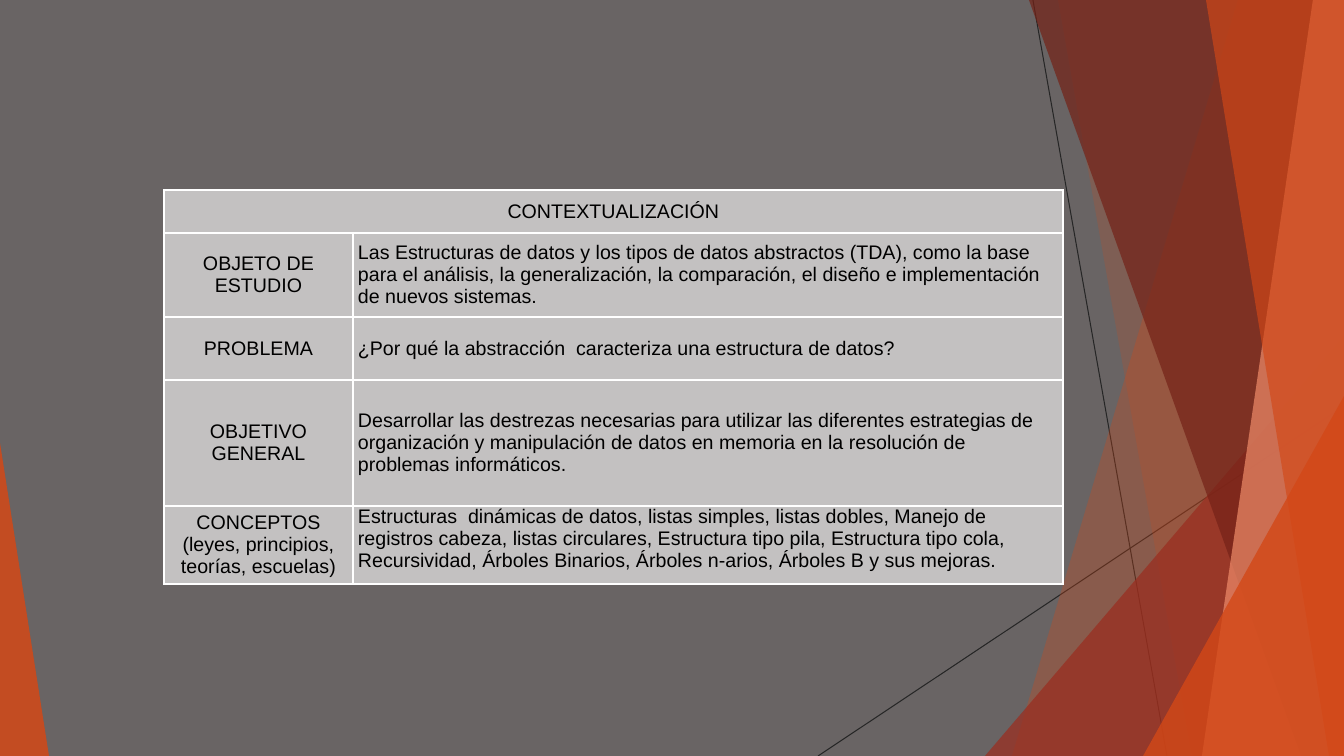
from lxml import etree
from pptx import Presentation
from pptx.dml.color import RGBColor
from pptx.enum.shapes import MSO_CONNECTOR as CONN, MSO_SHAPE as SHAPE
from pptx.enum.text import MSO_ANCHOR as ANCHOR, PP_ALIGN as ALIGN
from pptx.oxml.ns import qn
from pptx.util import Pt

W, H = 1344, 756
ORANGE, RED, DARK_RED, SALMON = "D34817", "9B2D1F", "742217", "EF8C6A"
TITLE = "CONTEXTUALIZACIÓN"
COLS = [189, 710]
ROWS = [43, 84, 63, 126, 78]
TOPICS = [
    ("OBJETO DE ESTUDIO",
     "Las Estructuras de datos y los tipos de datos abstractos (TDA), como la "
     "base para el análisis, la generalización, la comparación, el diseño e "
     "implementación de nuevos sistemas."),
    ("PROBLEMA",
     "¿Por qué la abstracción  caracteriza una estructura de datos?"),
    ("OBJETIVO GENERAL",
     "Desarrollar las destrezas necesarias para utilizar las diferentes "
     "estrategias de organización y manipulación de datos en memoria en la "
     "resolución de problemas informáticos."),
    ("CONCEPTOS (leyes, principios, teorías, escuelas)",
     "Estructuras  dinámicas de datos, listas simples, listas dobles, Manejo de "
     "registros cabeza, listas circulares, Estructura tipo pila, Estructura tipo "
     "cola, Recursividad, Árboles Binarios, Árboles n-arios, Árboles B y sus "
     "mejoras."),
]


def px(n):
    return round(n * 914400 / 100.8)


def rgb(color):
    return RGBColor.from_string(color)


def paint(sp, color, opacity):
    """Give a shape a see-through fill, without line or shadow."""
    sp.shadow.inherit = False
    sp.line.fill.background()
    sp.fill.solid()
    sp.fill.fore_color.rgb = rgb(color)
    clr = sp.fill._xPr.find(qn("a:solidFill"))[0]
    etree.SubElement(clr, qn("a:alpha"), val=str(opacity * 1000))


def add_line(s, x1, y1, x2, y2):
    ln = s.shapes.add_connector(CONN.STRAIGHT, px(x1), px(y1), px(x2), px(y2))
    ln.line.color.rgb = rgb("262626")
    ln.line.width = Pt(0.75)
    etree.SubElement(ln._element.spPr, qn("a:effectLst"))


def add_band(s, top_x, bottom_x, color, opacity):
    """Full-height band from a slanted left edge to the right slide edge."""
    fb = s.shapes.build_freeform(px(top_x), 0)
    corners = [(W, 0), (W, H), (bottom_x, H)]
    fb.add_line_segments([(px(x), px(y)) for x, y in corners], close=True)
    paint(fb.convert_to_shape(), color, opacity)


def add_triangle(s, x, y, w, apex, color, opacity):
    """Triangle standing on the bottom slide edge."""
    sp = s.shapes.add_shape(SHAPE.ISOSCELES_TRIANGLE,
                            px(x), px(y), px(w), px(H - y))
    sp.adjustments[0] = apex
    paint(sp, color, opacity)


def add_borders(cell):
    tc_pr = cell._tc.get_or_add_tcPr()
    for side in ("lnL", "lnR", "lnT", "lnB"):
        ln = etree.SubElement(tc_pr, qn("a:" + side), w=str(Pt(1)))
        fill = etree.SubElement(ln, qn("a:solidFill"))
        etree.SubElement(fill, qn("a:srgbClr"), val="FFFFFF")


def style_cell(cell, text, align, anchor=ANCHOR.MIDDLE):
    cell.margin_left = cell.margin_right = px(5)
    cell.margin_top = cell.margin_bottom = 0
    cell.vertical_anchor = anchor
    add_borders(cell)
    cell.fill.solid()
    cell.fill.fore_color.rgb = rgb("C3C1C1")
    cell.text = text
    p = cell.text_frame.paragraphs[0]
    p.alignment = align
    p.space_before = p.space_after = Pt(5)
    p.font.name = "Arial"
    p.font.size = Pt(14)
    p.font.color.rgb = rgb("000000")


def add_topic_table(s, x, y):
    frame = s.shapes.add_table(len(ROWS), len(COLS), px(x), px(y),
                               px(sum(COLS)), px(sum(ROWS)))
    table = frame.table
    table.first_row = table.horz_banding = False
    for col, w in zip(table.columns, COLS):
        col.width = px(w)
    for row, h in zip(table.rows, ROWS):
        row.height = px(h)

    # Title across both columns
    table.cell(0, 0).merge(table.cell(0, 1))
    style_cell(table.cell(0, 0), TITLE, ALIGN.CENTER)
    add_borders(table.cell(0, 1))

    # Topics; the last description sits at the top of its cell
    for i, (topic, description) in enumerate(TOPICS, 1):
        anchor = ANCHOR.TOP if i == len(TOPICS) else ANCHOR.MIDDLE
        style_cell(table.cell(i, 0), topic, ALIGN.CENTER)
        style_cell(table.cell(i, 1), description, ALIGN.LEFT, anchor)


def main():
    prs = Presentation()
    prs.slide_width, prs.slide_height = px(W), px(H)
    s = prs.slides.add_slide(prs.slide_layouts[6])
    s.background.fill.solid()
    s.background.fill.fore_color.rgb = rgb("696464")

    # Facets on the right, back to front
    add_line(s, 1033, 0, 1167, H)
    add_line(s, W, 406, 818, H)
    add_band(s, 1238, 1012, ORANGE, 30)
    add_band(s, 1058, 1192, ORANGE, 20)
    add_triangle(s, 985, 336, 359, 1, RED, 72)
    add_band(s, 1029, 1301, DARK_RED, 70)
    add_band(s, 1313, 1202, SALMON, 70)
    add_band(s, 1206, 1329, ORANGE, 65)
    add_triangle(s, 1143, 396, 201, 1, ORANGE, 80)

    # Wedge on the left
    add_triangle(s, 0, 443, 49, 0, ORANGE, 85)

    add_topic_table(s, 164, 190)
    prs.save("out.pptx")


main()
